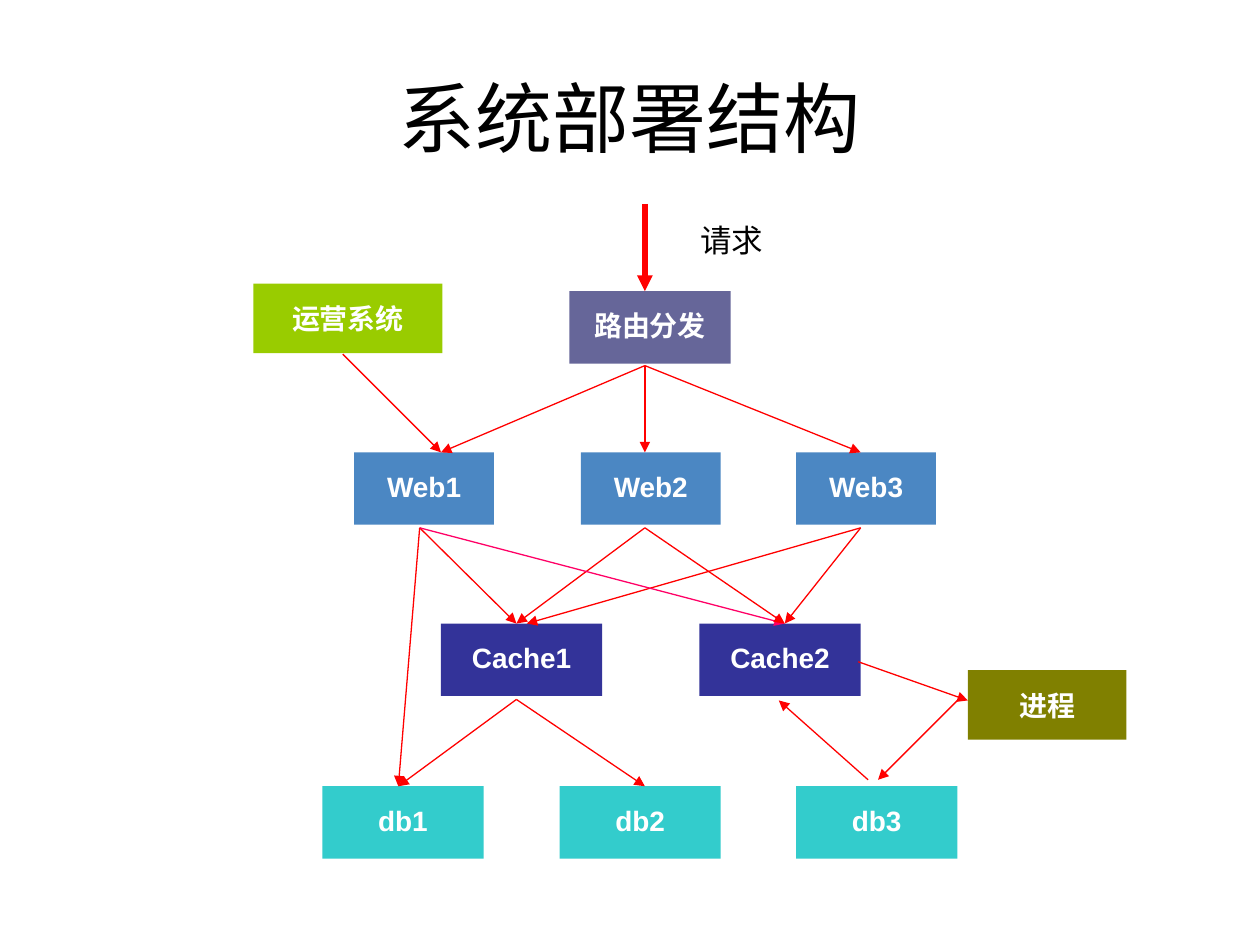
"""Build the system deployment diagram slide."""
from dataclasses import dataclass
from typing import NamedTuple

from lxml.etree import SubElement
from pptx import Presentation
from pptx.dml.color import RGBColor as Rgb
from pptx.enum.shapes import MSO_CONNECTOR as Connector
from pptx.enum.shapes import MSO_SHAPE as Shape
from pptx.enum.text import MSO_ANCHOR as Anchor
from pptx.enum.text import PP_ALIGN as Align
from pptx.oxml.ns import qn
from pptx.slide import Slide
from pptx.util import Cm, Pt


@dataclass(frozen=True)
class Theme:
    title_font: str = "Cabin"
    body_font: str = "Arial"
    title_size: float = 44
    label_size: float = 18
    node_size: float = 16
    thin: float = 0.75
    thick: float = 3
    ink: str = "000000"
    node_text: str = "FFFFFF"
    flow: str = "FF0000"
    cross_flow: str = "FF0066"
    operations: str = "99CC00"
    router: str = "666699"
    web: str = "4B87C3"
    cache: str = "333399"
    database: str = "33CCCC"
    process: str = "808000"


class Point(NamedTuple):
    x: float
    y: float


class Box(NamedTuple):
    left: float
    top: float
    width: float
    height: float


class Node(NamedTuple):
    name: str
    box: Box
    fill: str
    spacing: float = 0.9


class Flow(NamedTuple):
    start: Point
    end: Point
    color: str
    width: float


THEME = Theme()


def add_caption(slide: Slide, text: str, box: Box, font: str, size: float,
                align: Align, anchor: Anchor) -> None:
    caption = slide.shapes.add_textbox(*map(Cm, box)).text_frame
    caption.word_wrap = True
    caption.vertical_anchor = anchor
    caption.text = text
    line = caption.paragraphs[0]
    line.alignment = align
    line.font.name = font
    line.font.size = Pt(size)
    line.font.color.rgb = Rgb.from_string(THEME.ink)


def add_node(slide: Slide, node: Node) -> None:
    block = slide.shapes.add_shape(Shape.RECTANGLE, *map(Cm, node.box))
    block.shadow.inherit = False
    block.fill.solid()
    block.fill.fore_color.rgb = Rgb.from_string(node.fill)
    block.line.fill.background()
    frame = block.text_frame
    frame.word_wrap = False
    frame.vertical_anchor = Anchor.MIDDLE
    frame.margin_left = frame.margin_right = Cm(0.2)
    frame.margin_top = frame.margin_bottom = Cm(0.1)
    frame.text = node.name
    line = frame.paragraphs[0]
    line.alignment = Align.CENTER
    line.line_spacing = node.spacing
    line.font.name = THEME.body_font
    line.font.size = Pt(THEME.node_size)
    line.font.bold = True
    line.font.color.rgb = Rgb.from_string(THEME.node_text)


def add_flow(slide: Slide, flow: Flow) -> None:
    arrow = slide.shapes.add_connector(
        Connector.STRAIGHT, *map(Cm, (*flow.start, *flow.end)))
    arrow.line.color.rgb = Rgb.from_string(flow.color)
    arrow.line.width = Pt(flow.width)
    SubElement(arrow.line._get_or_add_ln(), qn("a:tailEnd"), type="triangle")
    SubElement(arrow._element.spPr, qn("a:effectLst"))


def deployment_nodes() -> list[Node]:
    tiers = [
        ("Web", (7.14, 11.71, 16.05), 9.12, 2.82, THEME.web),
        ("Cache", (8.89, 14.1), 12.57, 3.25, THEME.cache),
        ("db", (6.5, 11.28, 16.05), 15.85, 3.25, THEME.database),
    ]
    servers = [
        Node(f"{tier}{number}", Box(left, top, width, 1.46), fill)
        for tier, lefts, top, width, fill in tiers
        for number, left in enumerate(lefts, 1)
    ]
    return [
        Node("路由分发", Box(11.48, 5.87, 3.25, 1.46), THEME.router),
        *servers,
        Node("进程", Box(19.51, 13.51, 3.2, 1.4), THEME.process, 1),
        Node("运营系统", Box(5.11, 5.72, 3.81, 1.4), THEME.operations, 1),
    ]


def deployment_flows() -> list[Flow]:
    router_in, router_out = Point(13, 5.87), Point(13, 7.37)
    web1_in, web2_in, web3_in = (Point(x, 9.12) for x in (8.89, 13, 17.35))
    web1_out, web2_out, web3_out = (Point(x, 10.64) for x in (8.46, 13, 17.35))
    cache1_in, cache1_side_in, cache2_in = (
        Point(x, 12.57) for x in (10.41, 10.62, 15.82))
    cache1_out = Point(10.41, 14.1)
    db1_in, db2_in = (Point(x, 15.85) for x in (8.03, 13))
    thin_routes = [
        (router_out, web1_in),
        (router_out, web2_in),
        (router_out, web3_in),
        (web1_out, cache1_in),
        (web2_out, cache1_in),
        (web3_out, cache1_side_in),
        (web1_out, cache2_in),
        (web2_out, cache2_in),
        (web3_out, cache2_in),
        (cache1_out, db1_in),
        (cache1_out, db2_in),
        (web1_out, db1_in),
        (Point(17.3, 13.34), Point(19.51, 14.12)),
        (Point(19.3, 14.12), Point(17.7, 15.72)),
        (Point(17.5, 15.72), Point(15.7, 14.12)),
        (Point(6.91, 7.14), web1_in),
    ]
    crossing = (web1_out, cache2_in)
    return [Flow(Point(13, 4.11), router_in, THEME.flow, THEME.thick)] + [
        Flow(*route, THEME.cross_flow if route == crossing else THEME.flow,
             THEME.thin)
        for route in thin_routes
    ]


def main() -> None:
    deck = Presentation()
    deck.slide_width, deck.slide_height = Cm(25.4), Cm(19.05)
    slide = deck.slides.add_slide(deck.slide_layouts[6])
    add_caption(slide, "系统部署结构", Box(1.27, 0.76, 22.86, 3.18),
                THEME.title_font, THEME.title_size, Align.CENTER, Anchor.MIDDLE)
    add_caption(slide, "请求", Box(13.87, 4.34, 2.41, 1.02),
                THEME.body_font, THEME.label_size, Align.LEFT, Anchor.TOP)
    for node in deployment_nodes():
        add_node(slide, node)
    for flow in deployment_flows():
        add_flow(slide, flow)
    deck.save("out.pptx")


if __name__ == "__main__":
    main()
